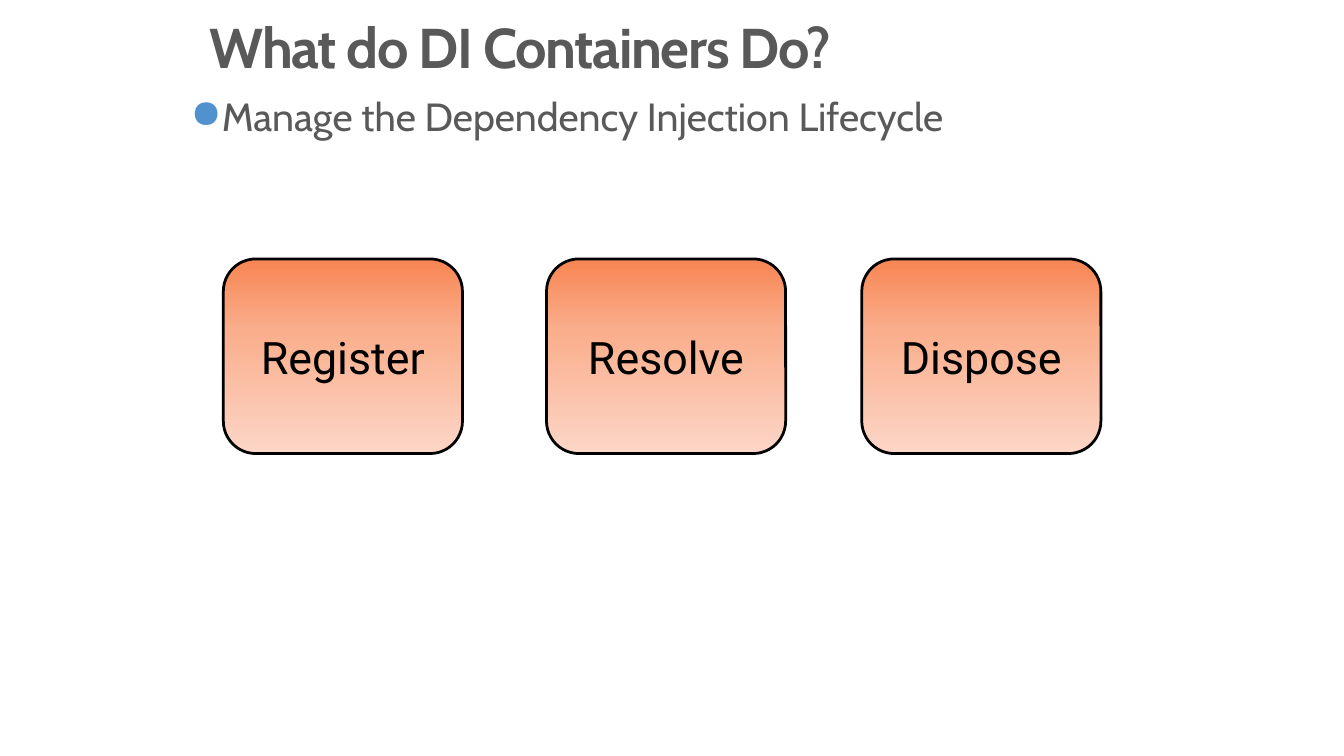
"""Build the slide on what dependency injection containers do."""
import copy

import lxml.etree
import pptx
import pptx.dml.color
import pptx.enum.shapes
import pptx.enum.text
import pptx.oxml.ns
import pptx.util

Inches = pptx.util.Inches
Pt = pptx.util.Pt
RGBColor = pptx.dml.color.RGBColor
PP_ALIGN = pptx.enum.text.PP_ALIGN
MSO_ANCHOR = pptx.enum.text.MSO_ANCHOR
qn = pptx.oxml.ns.qn

GREY = RGBColor(0x59, 0x59, 0x59)
BLACK = RGBColor(0x00, 0x00, 0x00)
BULLET_BLUE = RGBColor(0x51, 0x91, 0xCD)
PALE_ORANGE = RGBColor(0xFC, 0xD6, 0xC6)
MID_ORANGE = RGBColor(0xFA, 0xAE, 0x8C)
DEEP_ORANGE = RGBColor(0xF7, 0x85, 0x53)
STAGE_GRADIENT = [(0, PALE_ORANGE), (0.63, MID_ORANGE), (1, DEEP_ORANGE)]
STAGES = [("Register", 2.26), ("Resolve", 5.53), ("Dispose", 8.72)]


def write_text(frame, text, size, font="Cabin", color=GREY, bold=False,
               align=PP_ALIGN.LEFT, line_spacing=None, tracking=None):
    """Write one formatted paragraph into a text frame and return it."""
    paragraph = frame.paragraphs[0]
    paragraph.alignment = align
    paragraph.line_spacing = line_spacing
    run = paragraph.add_run()
    run.text = text
    run.font.size = Pt(size)
    run.font.name = font
    run.font.bold = bold
    run.font.color.rgb = color
    if tracking is not None:
        run.font._element.set("spc", str(tracking * 100))
    return paragraph


def add_text_box(slide, left, top, width, height, text, **text_format):
    """Add a wrapping text box without margins and return its paragraph."""
    frame = slide.shapes.add_textbox(
        Inches(left), Inches(top), Inches(width), Inches(height)).text_frame
    frame.word_wrap = True
    frame.margin_left = frame.margin_right = 0
    frame.margin_top = frame.margin_bottom = 0
    return write_text(frame, text, **text_format)


def add_bullet(paragraph, indent):
    """Give a paragraph a round blue bullet with a hanging indent."""
    properties = paragraph._p.get_or_add_pPr()
    properties.set("marL", str(Inches(indent)))
    properties.set("indent", str(-Inches(indent)))
    bullet_color = lxml.etree.SubElement(properties, qn("a:buClr"))
    lxml.etree.SubElement(bullet_color, qn("a:srgbClr"), val=str(BULLET_BLUE))
    lxml.etree.SubElement(properties, qn("a:buChar"), char="●")


def fill_gradient(shape, stops):
    """Fill a shape with colour stops running from bottom to top."""
    shape.fill.gradient()
    shape.fill.gradient_angle = 90
    stop_list = shape._element.spPr.find(".//" + qn("a:gsLst"))
    while len(stop_list) < len(stops):
        stop_list.append(copy.deepcopy(stop_list[0]))
    for stop, (position, color) in zip(shape.fill.gradient_stops, stops):
        stop.position = position
        stop.color.rgb = color


def add_stage(slide, name, left):
    """Add one rounded lifecycle stage."""
    stage = slide.shapes.add_shape(
        pptx.enum.shapes.MSO_SHAPE.ROUNDED_RECTANGLE,
        Inches(left), Inches(2.62), Inches(2.42), Inches(1.97))
    stage.shadow.inherit = False
    fill_gradient(stage, STAGE_GRADIENT)
    stage.line.color.rgb = BLACK
    stage.line.width = Pt(2)
    stage.text_frame.vertical_anchor = MSO_ANCHOR.MIDDLE
    write_text(stage.text_frame, name, size=32.6, font="Roboto",
               color=BLACK, align=PP_ALIGN.CENTER)


def main():
    """Build and save the slide."""
    presentation = pptx.Presentation()
    presentation.slide_width = Inches(13.6)
    presentation.slide_height = Inches(7.65)
    slide = presentation.slides.add_slide(presentation.slide_layouts[6])
    add_text_box(slide, 2.12, 0.2, 8.67, 1.14, "What do DI Containers Do?",
                 size=40.8, bold=True, line_spacing=0.9, tracking=-1)
    lifecycle = add_text_box(slide, 1.93, 0.99, 9.36, 1.7,
                             "Manage the Dependency Injection Lifecycle",
                             size=28.6, line_spacing=0.9)
    add_bullet(lifecycle, 0.31)
    for name, left in STAGES:
        add_stage(slide, name, left)
    presentation.save("out.pptx")


if __name__ == "__main__":
    main()
